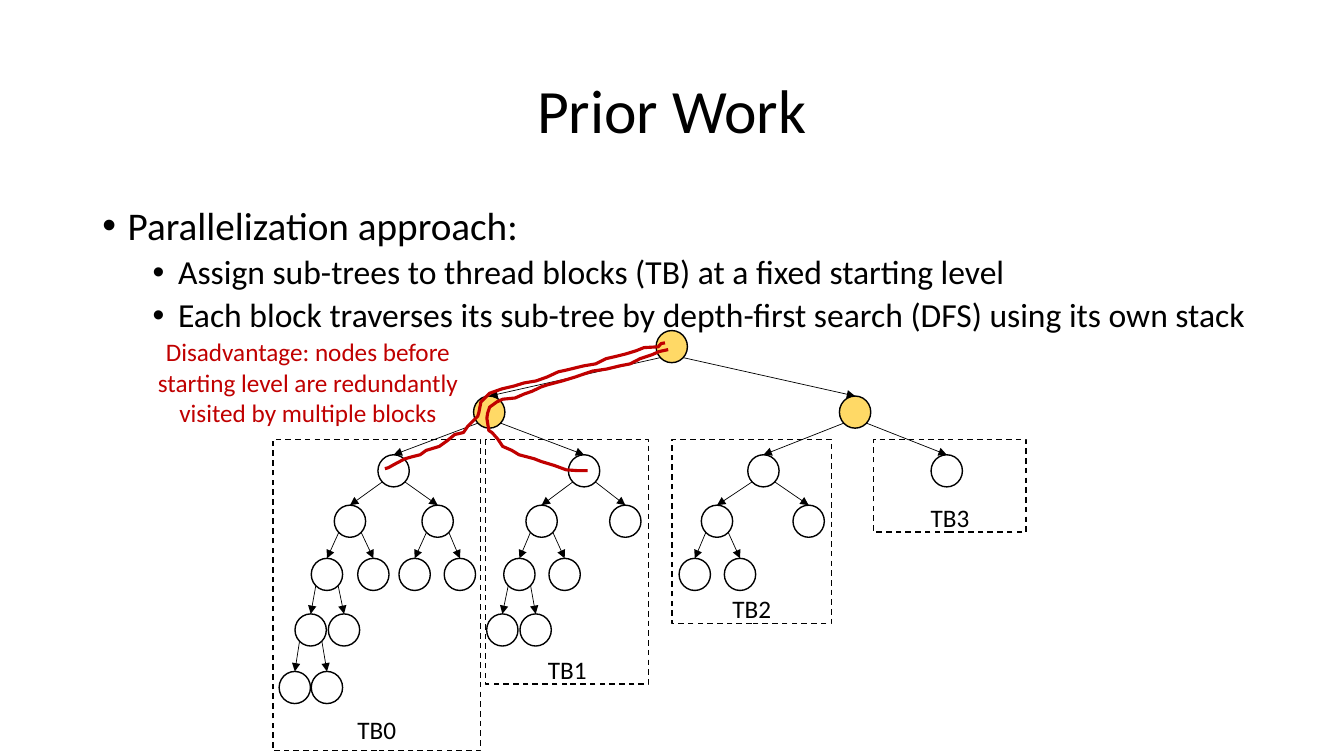
"""Build the "Prior Work" slide: a search tree split into sub-trees for thread blocks."""
from lxml.etree import SubElement
from pptx import Presentation
from pptx.dml.color import RGBColor
from pptx.enum.dml import MSO_LINE
from pptx.enum.shapes import MSO_CONNECTOR, MSO_SHAPE
from pptx.enum.text import MSO_ANCHOR as ANCHOR, PP_ALIGN as ALIGN
from pptx.oxml.ns import qn
from pptx.util import Cm, Pt

COLORS = {"black": "000000", "white": "FFFFFF", "gold": "FFD966", "red": "C00000"}
FONT = "Calibri"


def color(name):
    return RGBColor.from_string(COLORS[name])


def style_paragraph(paragraph, size, color_name="black", align=ALIGN.CENTER):
    paragraph.alignment = align
    for run in paragraph.runs:
        run.font.name = FONT
        run.font.size = Pt(size)
        run.font.color.rgb = color(color_name)


presentation = Presentation()
presentation.slide_width = Cm(33.87)
presentation.slide_height = Cm(19.05)
slide = presentation.slides.add_slide(presentation.slide_layouts[6])
shapes = slide.shapes

title = shapes.add_textbox(Cm(2.33), Cm(1.01), Cm(29.21), Cm(3.68))
title.text_frame.word_wrap = True
title.text_frame.vertical_anchor = ANCHOR.MIDDLE
title.text_frame.text = "Prior Work"
title.text_frame.paragraphs[0].line_spacing = 0.9
style_paragraph(title.text_frame.paragraphs[0], 44)

body = shapes.add_textbox(Cm(2.33), Cm(5.07), Cm(29.5), Cm(12.09))
body.text_frame.word_wrap = True
bullets = [
    (0, "Parallelization approach:"),
    (1, "Assign sub-trees to thread blocks (TB) at a fixed starting level"),
    (1, "Each block traverses its sub-tree by depth-first search (DFS) using its own stack"),
]
body.text_frame.text = "\n".join(text for level, text in bullets)
for paragraph, (level, text) in zip(body.text_frame.paragraphs, bullets):
    paragraph.level = level
    paragraph.line_spacing = 0.9
    paragraph.space_before = Pt((10, 5)[level])
    style_paragraph(paragraph, (28, 24)[level], align=ALIGN.LEFT)
    properties = paragraph._p.get_or_add_pPr()
    properties.set("marL", str(Cm((0.64, 1.91)[level])))
    properties.set("indent", str(-Cm(0.64)))
    SubElement(properties, qn("a:buFont"), typeface="Arial")
    SubElement(properties, qn("a:buChar"), char="•")

disadvantage = shapes.add_textbox(Cm(2.97), Cm(8.36), Cm(9.58), Cm(2.57))
disadvantage.text_frame.word_wrap = True
disadvantage.text_frame.text = (
    "Disadvantage: nodes before starting level are redundantly visited by multiple blocks"
)
style_paragraph(disadvantage.text_frame.paragraphs[0], 18, "red")

NODE_WIDTH, NODE_HEIGHT = 0.79, 0.81
EDGE_DX, EDGE_DY = 0.28, 0.68
START_LEVEL = 2
level_tops = [8.33, 9.98, 11.46, 12.73, 14.07, 15.47, 16.92]
# Each node is (centre x, index of its parent in the level above).
tree_levels = [
    [(16.93, None)],
    [(12.33, 0), (21.55, 0)],
    [(9.92, 0), (14.72, 0), (19.24, 1), (23.86, 1)],
    [(8.82, 0), (11.03, 0), (13.65, 1), (15.76, 1), (18.07, 2), (20.38, 2)],
    [(8.24, 0), (9.41, 0), (10.45, 1), (11.59, 1),
     (13.09, 2), (14.23, 2), (17.51, 4), (18.65, 4)],
    [(7.83, 0), (8.67, 0), (12.66, 4), (13.5, 4)],
    [(7.43, 0), (8.24, 0)],
]
for level, (top, nodes) in enumerate(zip(level_tops, tree_levels)):
    for x, parent in nodes:
        node = shapes.add_shape(MSO_SHAPE.OVAL, Cm(x - NODE_WIDTH / 2), Cm(top),
                                Cm(NODE_WIDTH), Cm(NODE_HEIGHT))
        node.shadow.inherit = False
        node.line.color.rgb = color("black")
        node.line.width = Pt(1)
        if level == START_LEVEL:
            node.fill.background()
        else:
            node.fill.solid()
            node.fill.fore_color.rgb = color("gold" if level < START_LEVEL else "white")
        if parent is None:
            continue
        parent_x = tree_levels[level - 1][parent][0]
        start_x = parent_x + (EDGE_DX if x > parent_x else -EDGE_DX)
        edge = shapes.add_connector(MSO_CONNECTOR.STRAIGHT, Cm(start_x),
                                    Cm(level_tops[level - 1] + EDGE_DY), Cm(x), Cm(top))
        edge.end_connect(node, 0)
        edge.line.color.rgb = color("black")
        edge.line.width = Pt(0.5)
        SubElement(edge.line._get_or_add_ln(), qn("a:tailEnd"), type="triangle")
        SubElement(edge._element.spPr, qn("a:effectLst"))

thread_blocks = [
    ("TB0", 6.88, 5.23, 7.85, 0.16),
    ("TB1", 12.24, 4.11, 6.17, 0),
    ("TB2", 16.94, 4.01, 4.65, 0),
    ("TB3", 22.02, 3.84, 2.34, 0),
]
for name, left, width, height, bottom_margin in thread_blocks:
    block = shapes.add_shape(MSO_SHAPE.RECTANGLE, Cm(left), Cm(11.07), Cm(width), Cm(height))
    block.shadow.inherit = False
    block.fill.background()
    block.line.color.rgb = color("black")
    block.line.width = Pt(1)
    block.line.dash_style = MSO_LINE.DASH
    frame = block.text_frame
    frame.margin_left = frame.margin_right = frame.margin_top = 0
    frame.margin_bottom = Cm(bottom_margin)
    frame.vertical_anchor = ANCHOR.BOTTOM
    frame.text = name
    style_paragraph(frame.paragraphs[0], 18)

pen_strokes = [
    [(1684, 881), (1661, 886), (1643, 894), (1613, 904), (1588, 917), (1562, 922),
     (1529, 930), (1494, 935), (1473, 942), (1450, 950), (1417, 960), (1379, 970),
     (1364, 975), (1341, 986), (1321, 993), (1298, 1003), (1267, 1006), (1252, 1013),
     (1234, 1026), (1229, 1041), (1227, 1054), (1232, 1085), (1240, 1090), (1255, 1107),
     (1267, 1125), (1290, 1135), (1308, 1146), (1346, 1156), (1364, 1163), (1397, 1173),
     (1427, 1184), (1455, 1186), (1481, 1186)],
    [(1676, 864), (1666, 866), (1659, 874), (1623, 876), (1603, 884), (1577, 892),
     (1557, 897), (1527, 904), (1501, 917), (1471, 922), (1430, 932), (1407, 937),
     (1379, 950), (1351, 960), (1321, 965), (1295, 973), (1265, 980), (1234, 991),
     (1222, 1003), (1212, 1013), (1207, 1039), (1204, 1049), (1191, 1062), (1179, 1074),
     (1168, 1090), (1146, 1095), (1128, 1110), (1107, 1125), (1074, 1135), (1059, 1146),
     (1039, 1151), (1021, 1156), (998, 1168), (978, 1179), (970, 1181)],
]
for points in pen_strokes:
    builder = shapes.build_freeform(*points[0], scale=Cm(0.01))
    builder.add_line_segments(points[1:], close=False)
    stroke = builder.convert_to_shape()
    stroke.shadow.inherit = False
    stroke.fill.background()
    stroke.line.color.rgb = color("red")
    stroke.line.width = Pt(2.25)

presentation.save("out.pptx")
